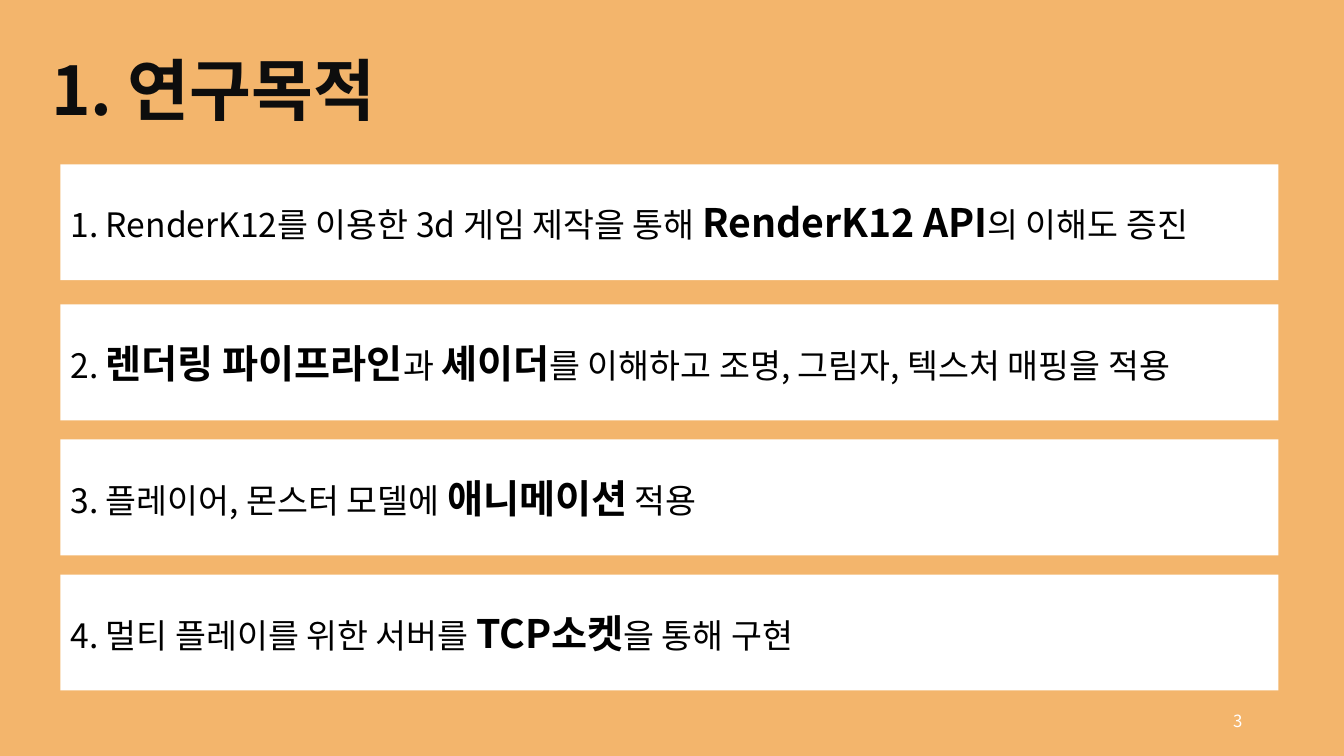
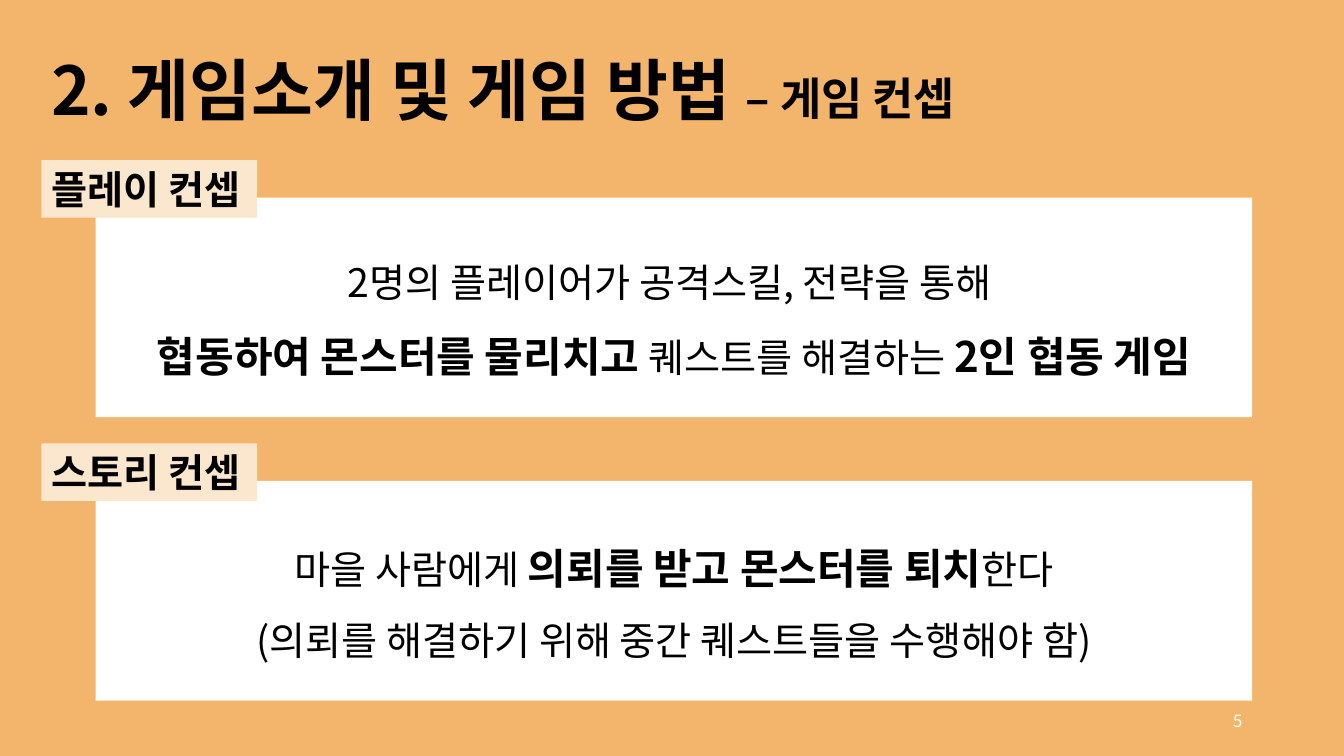
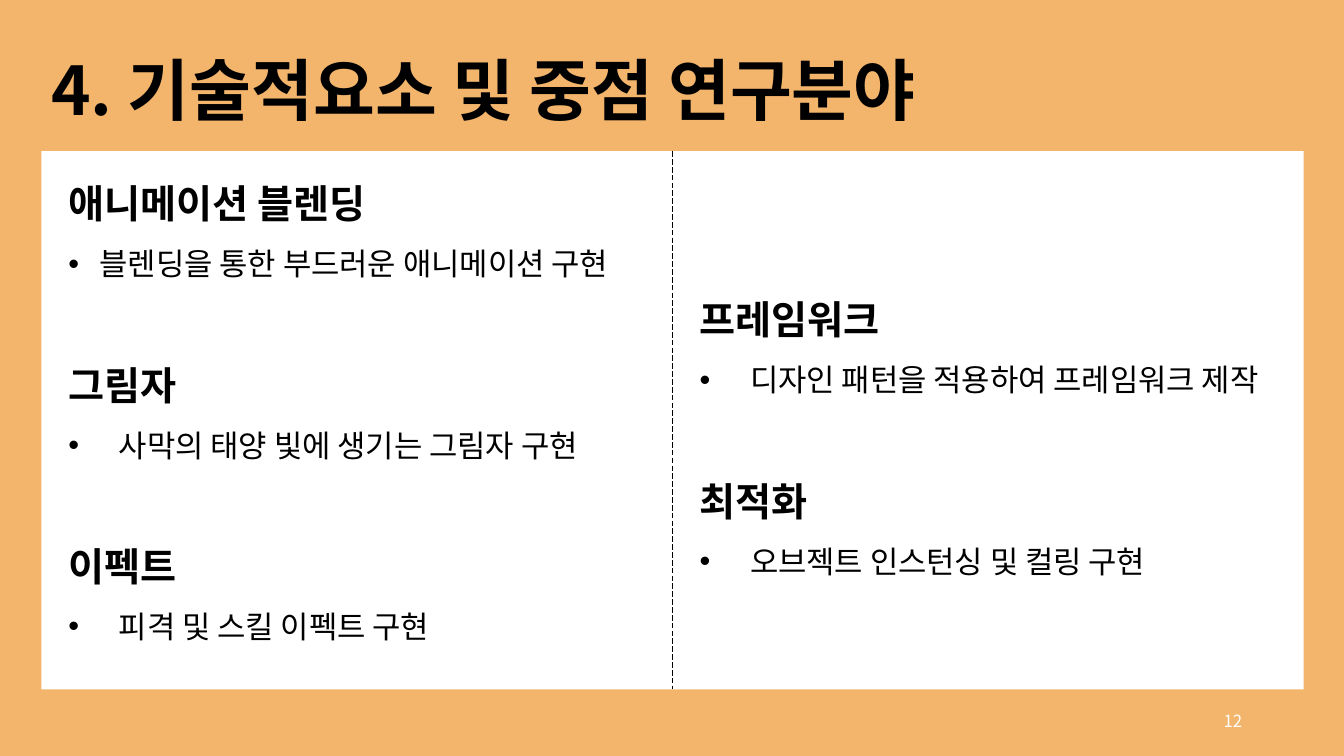
from pptx import Presentation
from pptx.dml.color import RGBColor
from pptx.enum.dml import MSO_LINE
from pptx.enum.shapes import MSO_CONNECTOR, MSO_SHAPE
from pptx.enum.text import MSO_ANCHOR, MSO_AUTO_SIZE, PP_ALIGN
from pptx.oxml.ns import qn
from pptx.util import Inches, Pt
from lxml import etree

RECTANGLE, STRAIGHT = MSO_SHAPE.RECTANGLE, MSO_CONNECTOR.STRAIGHT
LEFT, CENTER, RIGHT = PP_ALIGN.LEFT, PP_ALIGN.CENTER, PP_ALIGN.RIGHT
TOP, MIDDLE = MSO_ANCHOR.TOP, MSO_ANCHOR.MIDDLE
GROW = MSO_AUTO_SIZE.SHAPE_TO_FIT_TEXT
LONG_DASH = MSO_LINE.LONG_DASH

# Shared style
FONT = "Noto Sans CJK KR"
ORANGE, CREAM, WHITE = "F3B56C", "FBE6CE", "FFFFFF"
BLACK, SOFT_BLACK = "000000", "0D0D0D"
MARGIN = 0.41
SECTION_GAP = 39.5


def color(value):
    return RGBColor.from_string(value)


def apply(target, formats):
    for name, value in formats.items():
        setattr(target, name, value)


def add_span(para, text, size, bold=False, ink=BLACK):
    span = para.add_run()
    span.text = text
    apply(span.font, {"size": Pt(size), "bold": bold, "name": FONT})
    span.font.color.rgb = color(ink)
    # Hangul takes its font from the East Asian slot
    east_asian = etree.SubElement(span.font._element, qn("a:ea"))
    east_asian.set("typeface", FONT)


def add_marked(para, text, size, strong_size):
    """Write text in which ** switches emphasis on and off."""
    for index, part in enumerate(text.split("**")):
        strong = index % 2 == 1
        if part:
            add_span(para, part, strong_size if strong else size, strong)


def next_para(frame, **formats):
    first = frame.paragraphs[0]
    para = frame.add_paragraph() if first.runs else first
    apply(para, formats)
    return para


def add_bullet(para, indent):
    properties = para._p.get_or_add_pPr()
    properties.set("marL", str(Inches(indent)))
    properties.set("indent", str(-Inches(indent)))
    etree.SubElement(properties, qn("a:buFont")).set("typeface", "Arial")
    etree.SubElement(properties, qn("a:buChar")).set("char", "•")


def add_text_box(page, place, **formats):
    box = page.shapes.add_textbox(*map(Inches, place))
    apply(box.text_frame, {"word_wrap": True, **formats})
    return box.text_frame


def add_panel(page, place, fill=WHITE, **formats):
    panel = page.shapes.add_shape(RECTANGLE, *map(Inches, place))
    panel.shadow.inherit = False
    panel.fill.solid()
    panel.fill.fore_color.rgb = color(fill)
    panel.line.fill.background()
    apply(panel.text_frame,
          {"word_wrap": True, "vertical_anchor": MIDDLE, **formats})
    return panel.text_frame


def add_page(deck, number, title, subtitle="", ink=BLACK):
    page = deck.slides.add_slide(deck.slide_layouts[6])
    frame = add_text_box(page, (MARGIN, 0.35, 12.17, 1.15),
                         vertical_anchor=MIDDLE)
    para = next_para(frame, line_spacing=0.9)
    add_span(para, title, 48, True, ink)
    if subtitle:
        add_span(para, subtitle, 32, True, ink)
    footer = add_text_box(page, (9.42, 6.95, 3, 0.4), vertical_anchor=MIDDLE)
    add_span(next_para(footer, alignment=RIGHT), str(number), 12, ink=WHITE)
    return page


def add_concept(page, top, label, lines):
    """White panel with a cream label over its upper left corner."""
    panel = add_panel(page, (0.95, top + 0.37, 11.47, 2.18))
    for line in lines:
        para = next_para(panel, alignment=CENTER, line_spacing=1.5)
        add_marked(para, line, 28, 30)
    tag = add_panel(page, (MARGIN, top, 2.14, 0.57), CREAM, word_wrap=False,
                    auto_size=GROW, vertical_anchor=TOP)
    add_span(next_para(tag, alignment=LEFT), label, 28, True)


def add_topics(page, place, topics):
    """Column of bold headings, each with one bulleted line."""
    frame = add_text_box(page, place, auto_size=GROW)
    for index, (heading, detail, indent) in enumerate(topics):
        para = next_para(frame, line_spacing=1.5,
                         space_before=Pt(SECTION_GAP if index else 0))
        add_span(para, heading, 28, True)
        para = next_para(frame, line_spacing=1.5)
        add_bullet(para, indent)
        add_span(para, detail, 22)


def add_divider(page, x, top, bottom):
    divider = page.shapes.add_connector(
        STRAIGHT, *map(Inches, (x, top, x, bottom)))
    apply(divider.line, {"width": Pt(0.5), "dash_style": LONG_DASH})
    divider.line.color.rgb = color(BLACK)
    etree.SubElement(divider._element.spPr, qn("a:effectLst"))


def build_purpose(deck):
    page = add_page(deck, 3, "1. 연구목적", ink=SOFT_BLACK)
    goals = (
        (1.63, "1. RenderK12를 이용한 3d 게임 제작을 통해 **RenderK12 API**의 이해도 증진"),
        (3.02, "2. **렌더링 파이프라인**과 **셰이더**를 이해하고 조명, 그림자, 텍스처 매핑을 적용"),
        (4.36, "3. 플레이어, 몬스터 모델에 **애니메이션** 적용"),
        (5.7, "4. 멀티 플레이를 위한 서버를 **TCP소켓**을 통해 구현"),
    )
    for top, goal in goals:
        panel = add_panel(page, (0.6, top, 12.08, 1.15))
        add_marked(next_para(panel, alignment=LEFT), goal, 24, 28)


def build_concepts(deck):
    page = add_page(deck, 5, "2. 게임소개 및 게임 방법 ", "– 게임 컨셉")
    add_concept(page, 1.59, "플레이 컨셉", (
        "2명의 플레이어가 공격스킬, 전략을 통해 ",
        "**협동하여 몬스터를 물리치고** 퀘스트를 해결하는 **2인 협동 게임**"))
    add_concept(page, 4.4, "스토리 컨셉", (
        "마을 사람에게 **의뢰를 받고 몬스터를 퇴치**한다",
        "(의뢰를 해결하기 위해 중간 퀘스트들을 수행해야 함)"))


def build_technology(deck):
    page = add_page(deck, 12, "4. 기술적요소 및 중점 연구분야")
    top, height = 1.5, 5.34
    add_panel(page, (MARGIN, top, 12.52, height))
    add_topics(page, (0.58, top, 5.91, 5.64), (
        ("애니메이션 블렌딩", "블렌딩을 통한 부드러운 애니메이션 구현", 0.31),
        ("그림자", "사막의 태양 빛에 생기는 그림자 구현", 0.5),
        ("이펙트", "피격 및 스킬 이펙트 구현", 0.5)))
    add_topics(page, (6.84, 2.65, 5.91, 3.13), (
        ("프레임워크", "디자인 패턴을 적용하여 프레임워크 제작", 0.5),
        ("최적화", "오브젝트 인스턴싱 및 컬링 구현", 0.5)))
    add_divider(page, 6.67, top, top + height)


def main():
    deck = Presentation()
    apply(deck, {"slide_width": Inches(13.33), "slide_height": Inches(7.5)})
    backdrop = deck.slide_master.background.fill
    backdrop.solid()
    backdrop.fore_color.rgb = color(ORANGE)
    build_purpose(deck)
    build_concepts(deck)
    build_technology(deck)
    deck.save("out.pptx")


if __name__ == "__main__":
    main()
